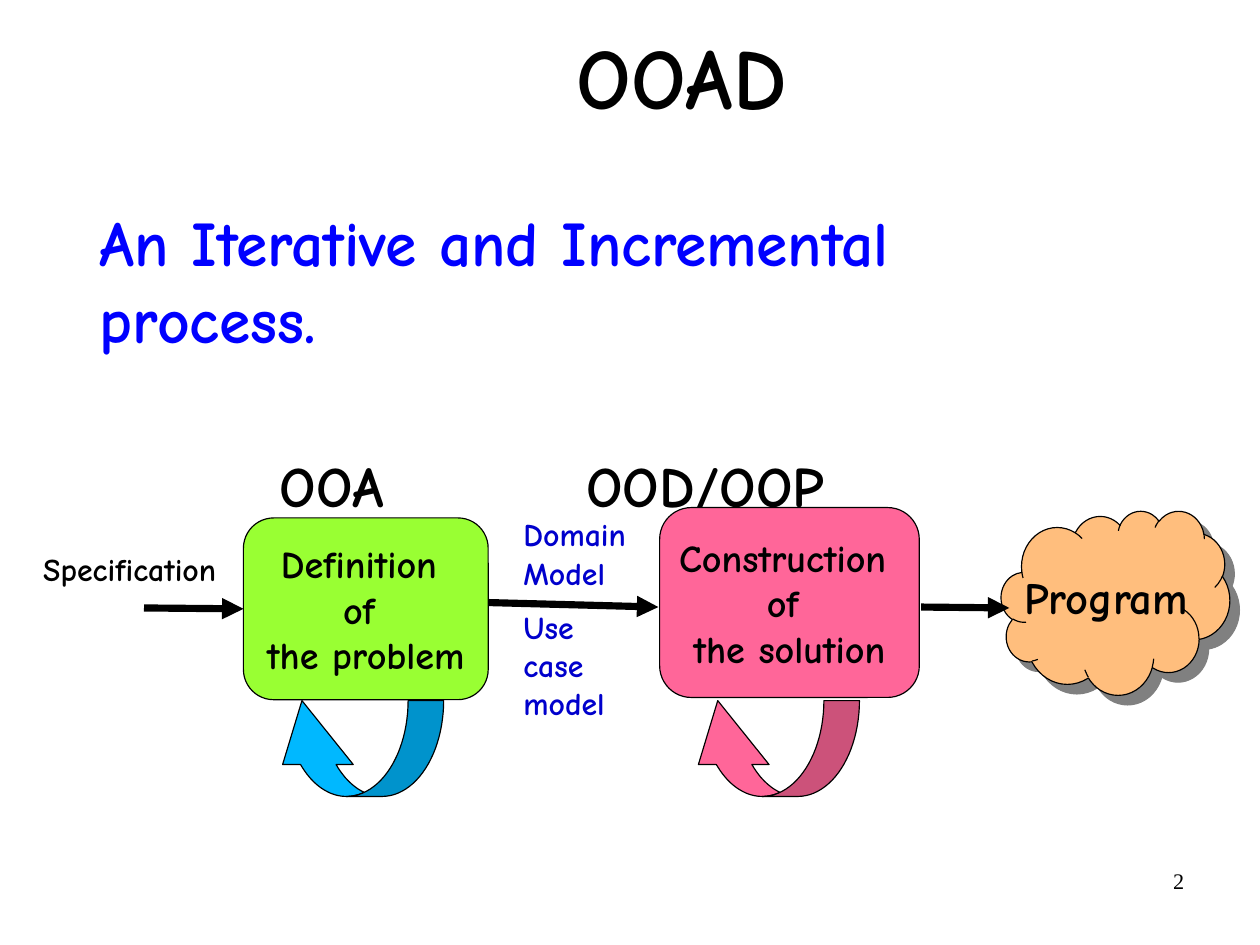
import math
import pptx
import pptx.dml.color
import pptx.enum.shapes
import pptx.enum.text
import pptx.oxml
import pptx.oxml.ns
import pptx.util

Cm = pptx.util.Cm
Pt = pptx.util.Pt
RGB = pptx.dml.color.RGBColor
Kind = pptx.enum.shapes.MSO_SHAPE
Align = pptx.enum.text.PP_ALIGN
Anchor = pptx.enum.text.MSO_ANCHOR

BLACK = RGB(0x00, 0x00, 0x00)
BLUE = RGB(0x00, 0x00, 0xFF)
NAVY = RGB(0x00, 0x00, 0xCC)
LIME = RGB(0x99, 0xFF, 0x33)
PINK = RGB(0xFF, 0x66, 0x99)
ROSE = RGB(0xCC, 0x52, 0x7A)
SKY = RGB(0x00, 0xB8, 0xFF)
TEAL = RGB(0x00, 0x93, 0xCC)
PEACH = RGB(0xFF, 0xBE, 0x7D)


def node(tag, body="", attrs=""):
    """Make a drawing element from its tag, inner XML and attributes."""
    space = pptx.oxml.ns.nsdecls("a")
    return pptx.oxml.parse_xml(f"<a:{tag} {space} {attrs}>{body}</a:{tag}>")


def arc(mid, start, end, steps=24):
    """Points on a loop's ellipse, in cm; angles in degrees run downwards."""
    turns = [math.radians(start + (end - start) * i / steps)
             for i in range(steps + 1)]
    return [(mid + 1.37 * math.cos(t), 2.13 * math.sin(t)) for t in turns]


class Deck:
    def __init__(self, wide, high):
        self.font = "Comic Neue"
        self.prs = pptx.Presentation()
        self.prs.slide_width, self.prs.slide_height = Cm(wide), Cm(high)
        self.slide = self.prs.slides.add_slide(self.prs.slide_layouts[6])
        self.shapes = self.slide.shapes

    def label(self, frame, lines, size, color=BLACK, align=Align.LEFT,
              font=None, bold=True, gap=0, space=None):
        frame.margin_left = frame.margin_right = Cm(0.28)
        frame.margin_top = frame.margin_bottom = Cm(0.15)
        for i, line in enumerate(lines):
            para = frame.add_paragraph() if i else frame.paragraphs[0]
            para.text = line
            para.alignment = align
            para.space_before = Pt(gap if i else 0)
            if space:
                para.line_spacing = space
            para.font.name = font or self.font
            para.font.size = Pt(size)
            para.font.bold = bold
            para.font.color.rgb = color

    def text(self, x, y, w, h, lines, size, anchor=Anchor.TOP, **style):
        box = self.shapes.add_textbox(Cm(x), Cm(y), Cm(w), Cm(h))
        box.text_frame.word_wrap = True
        box.text_frame.vertical_anchor = anchor
        self.label(box.text_frame, lines, size, **style)

    def paint(self, shape, fill):
        shape.shadow.inherit = False
        shape.fill.solid()
        shape.fill.fore_color.rgb = fill
        shape.line.color.rgb = BLACK
        shape.line.width = Pt(0.75)

    def box(self, x, y, w, h, fill, lines):
        shape = self.shapes.add_shape(
            Kind.ROUNDED_RECTANGLE, Cm(x), Cm(y), Cm(w), Cm(h))
        self.paint(shape, fill)
        shape.text_frame.word_wrap = False
        shape.text_frame.vertical_anchor = Anchor.MIDDLE
        self.label(shape.text_frame, lines, 24, align=Align.CENTER)
        return shape

    def cloud(self, x, y, w, h, fill):
        shape = self.shapes.add_shape(Kind.CLOUD, Cm(x), Cm(y), Cm(w), Cm(h))
        self.paint(shape, fill)
        glow = shape._element.spPr.find(pptx.oxml.ns.qn("a:effectLst"))
        glow.append(node("outerShdw", '<a:srgbClr val="808080"/>',
                         f'dist="{Pt(8.5)}" dir="2700000" rotWithShape="0"'))

    def arrow(self, x1, y1, x2, y2, goal=None):
        line = self.shapes.add_connector(
            pptx.enum.shapes.MSO_CONNECTOR.STRAIGHT,
            Cm(x1), Cm(y1), Cm(x2), Cm(y2))
        if goal is not None:
            line.end_connect(goal, 1)
        line.line.color.rgb = BLACK
        line.line.width = Pt(4.5)
        line.line._get_or_add_ln().append(
            node("tailEnd", attrs='type="triangle"'))
        line._element.spPr.append(node("effectLst"))

    def patch(self, x, y, points, fill):
        spots = [(Cm(x + dx), Cm(y + dy)) for dx, dy in points]
        form = self.shapes.build_freeform(*spots[0])
        form.add_line_segments(spots[1:], close=True)
        self.paint(form.convert_to_shape(), fill)

    def loop(self, x, y, front, back):
        """Draw a ribbon arrow that bends down and returns up to the left."""
        near, far = 1.78, 2.57
        cross = math.degrees(math.acos((far - near) / 2 / 1.37))
        neck = 180 - math.degrees(math.asin(1.42 / 2.13))
        head = [(0.36, 1.42), (0.79, 0), (1.93, 1.42)]
        self.patch(x, y, head + arc(far, neck, 180 - cross)
                   + arc(near, cross, neck), front)
        self.patch(x, y, arc(far, 0, 90) + arc(near, 90, 0), back)


def main():
    deck = Deck(28, 21)
    deck.text(20.07, 19.13, 6.53, 1.45, ["2"], 14, align=Align.RIGHT,
              font="Times New Roman", bold=False)
    deck.text(3.02, -0.08, 24.26, 3.1, ["OOAD"], 54, anchor=Anchor.BOTTOM,
              align=Align.CENTER, space=0.94)
    deck.text(5.94, 9.86, 5, 1.8, ["OOA"], 36)
    deck.text(12.75, 9.86, 8, 1.8, ["OOD/OOP"], 36)
    deck.text(1.93, 4.37, 22.23, 3.66,
              ["An Iterative and Incremental process."], 40, color=BLUE)

    deck.cloud(22.25, 11.35, 5.08, 4.09, PEACH)
    define = deck.box(5.41, 11.51, 5.44, 4.04, LIME,
                      ["Definition ", "of ", "the problem"])
    deck.box(14.66, 11.28, 5.77, 4.22, PINK,
             ["Construction ", "of ", "the solution"])

    deck.text(0, 12.4, 5.77, 0.74, ["Specification"], 20,
              align=Align.CENTER, space=0.55)
    deck.text(22.48, 12.52, 4.67, 1.47, ["Program"], 28)
    deck.text(11.35, 11.3, 3.2, 4.88, ["Domain Model", "Use case model"], 20,
              color=NAVY, gap=10)

    deck.arrow(3.2, 13.51, 5.41, 13.53, define)
    deck.arrow(10.85, 13.39, 14.63, 13.49)
    deck.arrow(20.47, 13.49, 22.43, 13.51)

    deck.loop(5.92, 15.57, SKY, TEAL)
    deck.loop(15.16, 15.57, PINK, ROSE)
    deck.prs.save("out.pptx")


if __name__ == "__main__":
    main()
